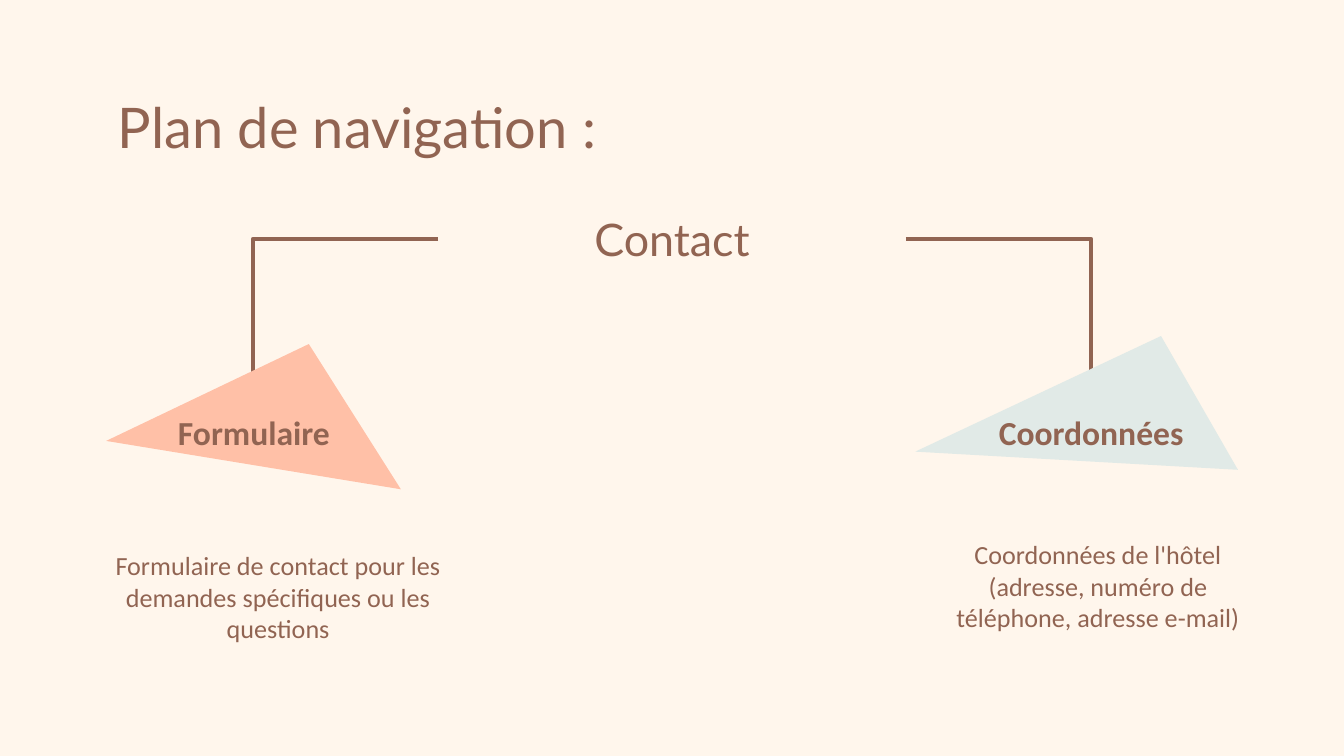
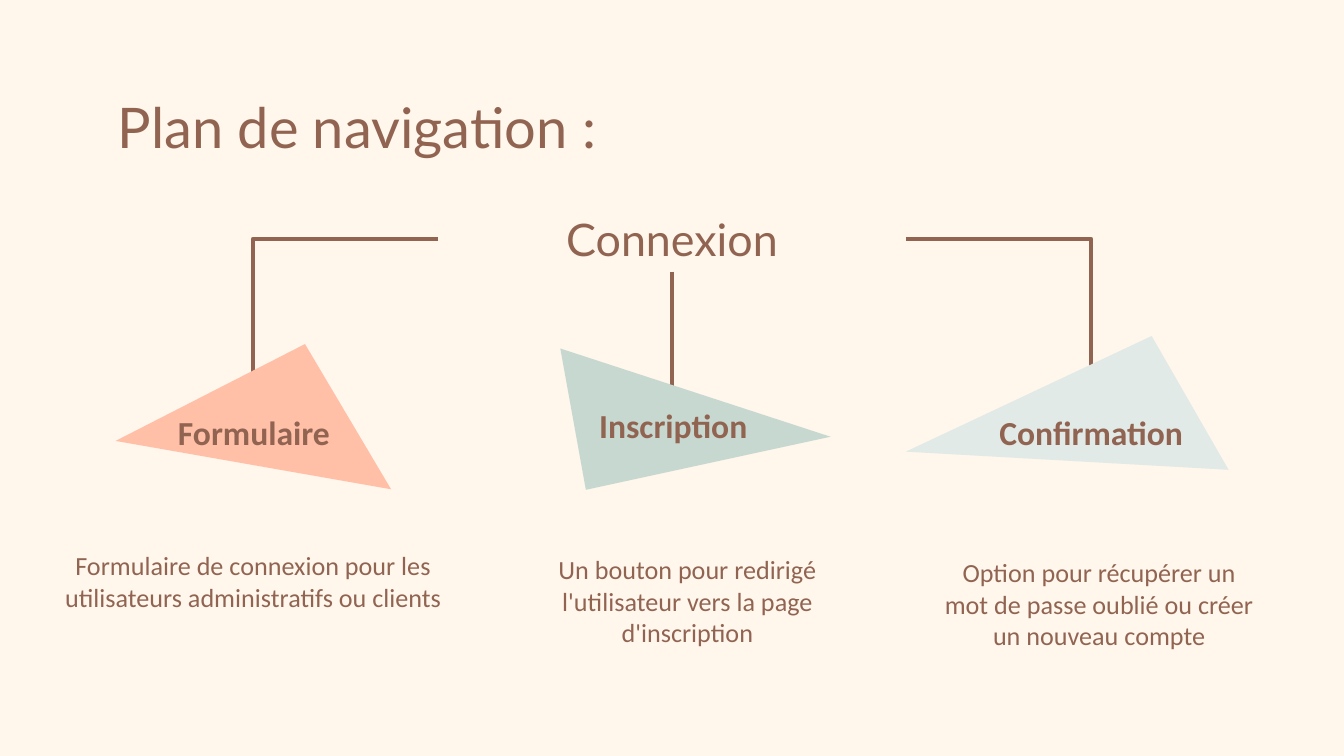
from dataclasses import dataclass

from lxml import etree
from pptx import Presentation
from pptx.dml.color import RGBColor
from pptx.enum.shapes import MSO_CONNECTOR
from pptx.enum.text import MSO_ANCHOR, PP_ALIGN
from pptx.oxml.ns import qn
from pptx.util import Pt

LEFT, CENTER = PP_ALIGN.LEFT, PP_ALIGN.CENTER
TOP, MIDDLE = MSO_ANCHOR.TOP, MSO_ANCHOR.MIDDLE
STRAIGHT, ELBOW = MSO_CONNECTOR.STRAIGHT, MSO_CONNECTOR.ELBOW
SLIDE_WIDTH, SLIDE_HEIGHT = 720, 405
BLANK_LAYOUT = 6


@dataclass(frozen=True)
class Theme:
    """Colours, fonts and sizes shared by the slides."""
    background: str = "FFF6EC"
    brown: str = "916452"
    peach: str = "FFC0A7"
    sage: str = "C7D8D0"
    mist: str = "E1EAE7"
    heading_font: str = "Lato"
    body_font: str = "Calibri"
    title_size: float = 30
    root_size: float = 24
    label_size: float = 18
    body_size: float = 14
    line_width: float = 2.25
    inset: float = 7.2
    tight_inset: float = 3.6


THEME = Theme()
CENTRE_X = SLIDE_WIDTH / 2
ROOT_TOP, ROOT_WIDTH, ROOT_HEIGHT = 110, 250.5, 35.5
BRANCH_Y, BRANCH_END, BRANCH_REACH = 128, 213.8, 224.5
LABEL_WIDTH, LABEL_HEIGHT = 158.4, 35.3
DESCRIPTION_HEIGHT = 58.3


@dataclass(frozen=True)
class Page:
    """One child page: its triangle, label and description."""
    label: str
    label_at: tuple
    colour: str
    corners: tuple
    description: str
    description_at: tuple
    description_width: float
    description_inset: float = THEME.tight_inset


def add_text(slide, text, box, font, size, align=CENTER, anchor=TOP,
             bold=False, inset=THEME.inset):
    """Add a wrapped text box; box is left, top, width, height."""
    frame = slide.shapes.add_textbox(*map(Pt, box)).text_frame
    frame.word_wrap = True
    frame.vertical_anchor = anchor
    frame.margin_left = frame.margin_right = Pt(THEME.inset)
    frame.margin_top = frame.margin_bottom = Pt(inset)
    paragraph = frame.paragraphs[0]
    paragraph.text = text
    paragraph.alignment = align
    paragraph.font.name = font
    paragraph.font.size = Pt(size)
    paragraph.font.bold = bold
    paragraph.font.color.rgb = RGBColor.from_string(THEME.brown)


def add_branch(slide, kind, start, end):
    """Draw a branch, turning once at the corner if it is an elbow."""
    branch = slide.shapes.add_connector(kind, *map(Pt, (*start, *end)))
    branch.line.color.rgb = RGBColor.from_string(THEME.brown)
    branch.line.width = Pt(THEME.line_width)
    properties = branch._element.spPr
    if kind == ELBOW:
        properties.find(qn("a:prstGeom")).set("prst", "bentConnector2")
    etree.SubElement(properties, qn("a:effectLst"))


def add_triangle(slide, corners, colour):
    """Draw a filled triangle without outline."""
    points = [(Pt(x), Pt(y)) for x, y in corners]
    builder = slide.shapes.build_freeform(*points[0], scale=1.0)
    builder.add_line_segments(points[1:], close=True)
    triangle = builder.convert_to_shape()
    triangle.shadow.inherit = False
    triangle.fill.solid()
    triangle.fill.fore_color.rgb = RGBColor.from_string(colour)
    triangle.line.fill.background()


def add_page(slide, page):
    """Draw one child page of the tree."""
    add_triangle(slide, page.corners, page.colour)
    add_text(slide, page.label, (*page.label_at, LABEL_WIDTH, LABEL_HEIGHT),
             THEME.body_font, THEME.label_size, anchor=MIDDLE, bold=True)
    add_text(slide, page.description,
             (*page.description_at, page.description_width, DESCRIPTION_HEIGHT),
             THEME.body_font, THEME.body_size, inset=page.description_inset)


def add_navigation_slide(deck, root, pages, middle_branch=False):
    """Add a slide with the title, the root page and its child pages."""
    slide = deck.slides.add_slide(deck.slide_layouts[BLANK_LAYOUT])
    slide.background.fill.solid()
    slide.background.fill.fore_color.rgb = RGBColor.from_string(THEME.background)
    add_text(slide, "Plan de navigation :", (56, 42.5, 608, 45.5),
             THEME.heading_font, THEME.title_size, align=LEFT)
    add_text(slide, root,
             (CENTRE_X - ROOT_WIDTH / 2, ROOT_TOP, ROOT_WIDTH, ROOT_HEIGHT),
             THEME.heading_font, THEME.root_size, anchor=MIDDLE)
    for side in (1, -1):
        add_branch(slide, ELBOW,
                   (CENTRE_X + side * ROOT_WIDTH / 2, BRANCH_Y),
                   (CENTRE_X + side * BRANCH_REACH, BRANCH_END))
    if middle_branch:
        add_branch(slide, STRAIGHT, (CENTRE_X, ROOT_TOP + ROOT_HEIGHT),
                   (CENTRE_X, 210.2))
    for page in pages:
        add_page(slide, page)


def main():
    """Build and save the deck."""
    deck = Presentation()
    deck.slide_width, deck.slide_height = Pt(SLIDE_WIDTH), Pt(SLIDE_HEIGHT)
    left_label, middle_label, right_label = (56.9, 213.8), (281.5, 210.2), (505.4, 213.8)

    add_navigation_slide(deck, "Contact", [
        Page("Coordonnées", right_label, THEME.mist,
             ((490.3, 242), (622, 180), (663.2, 251.7)),
             "Coordonnées de l'hôtel (adresse, numéro de téléphone, adresse e-mail)",
             (490.3, 285.1), 195.8),
        Page("Formulaire", left_label, THEME.peach,
             ((56.9, 236.2), (165.5, 184.3), (214.8, 262.1)),
             "Formulaire de contact pour les demandes spécifiques ou les questions",
             (51.1, 291), 195.8),
    ])
    add_navigation_slide(deck, "Connexion", [
        Page("Confirmation", right_label, THEME.mist,
             ((485.3, 242), (617, 180), (658.2, 251.7)),
             "Option pour récupérer un mot de passe oublié ou créer un nouveau compte",
             (498.2, 291), 181.4, THEME.inset),
        Page("Inscription", middle_label, THEME.sage,
             ((445, 234), (313.9, 262.4), (300.2, 186.7)),
             "Un bouton pour redirigé l'utilisateur vers la page d'inscription",
             (270, 293), 196.6),
        Page("Formulaire", left_label, THEME.peach,
             ((61.9, 236.2), (163.4, 184.3), (209.5, 262.1)),
             "Formulaire de connexion pour les utilisateurs administratifs ou clients",
             (18, 291), 235.4),
    ], middle_branch=True)
    deck.save("out.pptx")


if __name__ == "__main__":
    main()
